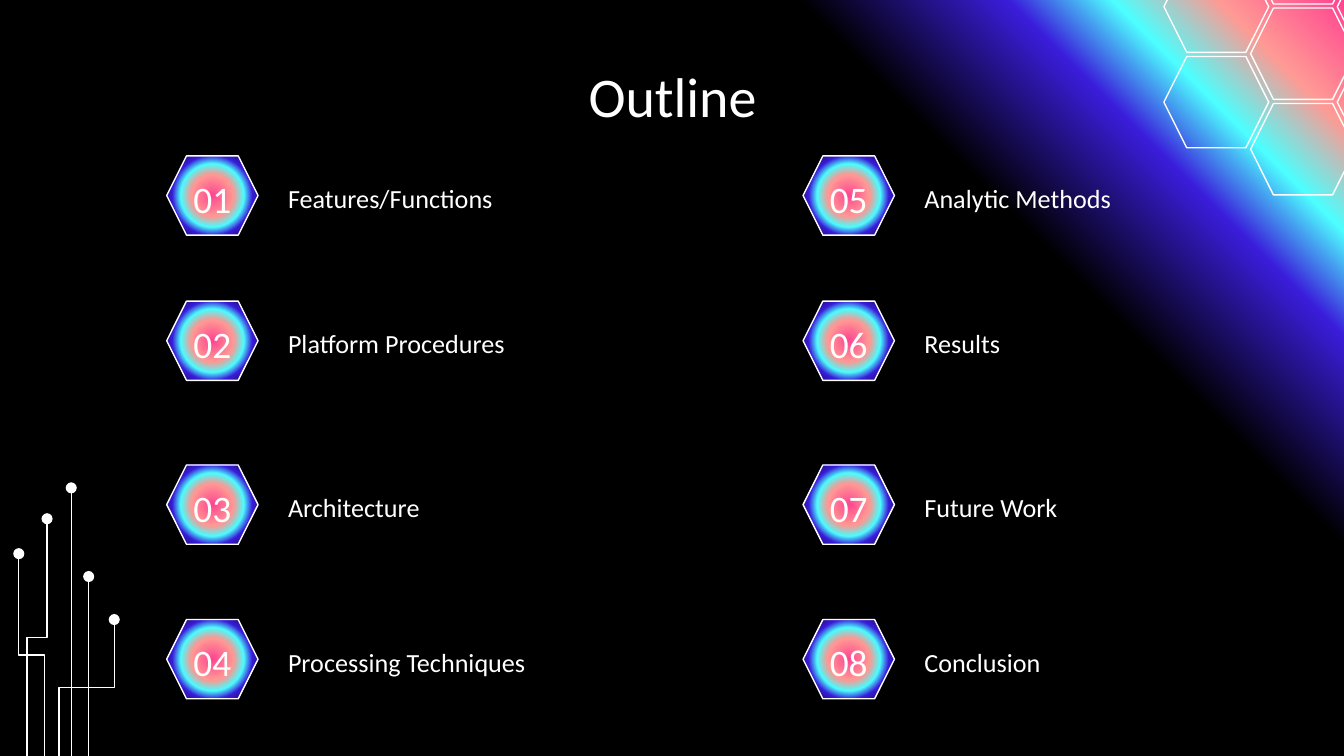
from lxml.etree import SubElement
from pptx import Presentation
from pptx.dml.color import RGBColor
from pptx.enum.shapes import MSO_CONNECTOR as Connector, MSO_SHAPE as Preset
from pptx.enum.text import MSO_ANCHOR as Anchor, PP_ALIGN as Align
from pptx.oxml.ns import qn
from pptx.util import Inches, Pt

COLUMNS, ROWS = 100, 56.25  # grid of tenth-inch cells
WHITE = "FFFFFF"
BACKDROP = [(0, "000000"), (74, "000000"), (84, "3A1DDB"),
            (89, "4DFFFF"), (94, "FF9A94"), (100, "FF4491")]
GLOW = [(0, "FF4491"), (35, "FF9A94"), (52, "4DFFFF"),
        (66, "3A1DDB"), (100, "000000")]

TOPICS = [["Features/Functions", "Platform Procedures",
           "Architecture", "Processing Techniques"],
          ["Analytic Methods", "Results", "Future Work", "Conclusion"]]
TOPIC_COLUMNS = [12.4, 59.75]
TOPIC_ROWS = [11.6, 22.4, 34.6, 46.1]
# Foot column, tip column and tip row of each circuit trace
TRACES = [(3.3, 1.4, 41.2), (2, 3.5, 38.6), (6.6, 6.6, 42.9),
          (5.3, 5.3, 36.3), (4.4, 8.5, 46.1)]
# Honeycomb columns: first row and number of cells
HONEYCOMB = [(-2.9, 2), (-6.5, 3), (-2.9, 2)]


def cells(count):
    """Turn grid cells into a length."""
    return Inches(count / 10)


def color(value):
    """Turn a hex string into a colour."""
    return RGBColor.from_string(value)


def set_gradient(fill, owner, stops, angle=None):
    """Fill with a linear gradient, or a circular one if no angle is given."""
    fill.gradient()
    gradient = next(owner.iter(qn("a:gradFill")))
    for child in list(gradient):
        gradient.remove(child)
    stop_list = SubElement(gradient, qn("a:gsLst"))
    for position, value in stops:
        stop = SubElement(stop_list, qn("a:gs"), pos=str(position * 1000))
        SubElement(stop, qn("a:srgbClr"), val=value)
    if angle is None:
        circle = SubElement(gradient, qn("a:path"), path="circle")
        SubElement(circle, qn("a:fillToRect"),
                   {side: "50000" for side in "ltrb"})
    else:
        SubElement(gradient, qn("a:lin"), ang=str(angle * 60000), scaled="0")


class SlideBuilder:
    """Draws styled elements on the current slide."""

    def __init__(self, slide, font="Calibri", ink=WHITE, line_width=0.75):
        """Keep the slide and its style."""
        self.slide, self.font = slide, font
        self.ink, self.line_width = color(ink), Pt(line_width)

    def backdrop(self, stops, angle):
        """Paint the slide background."""
        set_gradient(self.slide.background.fill, self.slide.element,
                     stops, angle)

    def outline(self, line):
        """Give a line the common colour and width."""
        line.color.rgb = self.ink
        line.width = self.line_width

    def hexagon(self, left, top, width, height, stops=None):
        """Draw an outlined hexagon, glowing if stops are given."""
        shape = self.slide.shapes.add_shape(
            Preset.HEXAGON, *map(cells, (left, top, width, height)))
        shape.adjustments[0] = 0.25
        shape.shadow.inherit = False
        self.outline(shape.line)
        if stops:
            set_gradient(shape.fill, shape.element, stops)
        else:
            shape.fill.background()

    def text(self, words, box, size, align=Align.LEFT, anchor=Anchor.MIDDLE,
             spacing=1.15):
        """Write one paragraph in a box."""
        frame = self.slide.shapes.add_textbox(*map(cells, box)).text_frame
        frame.word_wrap = True
        frame.vertical_anchor = anchor
        frame.margin_left = frame.margin_right = cells(1)
        frame.margin_top = frame.margin_bottom = cells(1)
        paragraph = frame.paragraphs[0]
        paragraph.text = words
        paragraph.alignment, paragraph.line_spacing = align, spacing
        paragraph.font.name, paragraph.font.size = self.font, Pt(size)
        paragraph.font.color.rgb = self.ink

    def trace(self, foot, tip, top):
        """Run a dotted trace up from the slide's bottom edge."""
        shift, length = tip - foot, ROWS - top
        middle_x, middle_y = (foot + tip) / 2, (ROWS + top) / 2
        # Drawn lying on its side, then turned upright
        ends = (middle_x - length / 2, middle_y - shift / 2,
                middle_x + length / 2, middle_y + shift / 2)
        kind = Connector.ELBOW if shift else Connector.STRAIGHT
        connector = self.slide.shapes.add_connector(kind, *map(cells, ends))
        self.outline(connector.line)
        properties = connector.element.spPr
        properties.find(qn("a:xfrm")).set("rot", str(270 * 60000))
        SubElement(properties.find(qn("a:ln")), qn("a:tailEnd"), type="oval")
        SubElement(properties, qn("a:effectLst"))

    def topic(self, number, words, left, top):
        """Place a numbered badge with its label."""
        self.hexagon(left, top, 6.8, 5.9, GLOW)
        self.text(words, (left + 8.05, top + 0.7, 29.6, 4.6), 14,
                  anchor=Anchor.BOTTOM)
        self.text(f"{number:02}", (left, top + 0.75, 6.8, 4.3), 20,
                  Align.CENTER)


def main():
    """Build the outline slide."""
    presentation = Presentation()
    presentation.slide_width = cells(COLUMNS)
    presentation.slide_height = cells(ROWS)
    builder = SlideBuilder(
        presentation.slides.add_slide(presentation.slide_layouts[6]))
    builder.backdrop(BACKDROP, 315)
    for trace in TRACES:
        builder.trace(*trace)
    for column, (first_row, count) in enumerate(HONEYCOMB):
        for step in range(count):
            builder.hexagon(86.6 + 6.45 * column, first_row + 7.1 * step,
                            7.8, 6.8)
    builder.text("Outline", (7.9, 3.6, 84.3, 6.3), 30, Align.CENTER,
                 Anchor.TOP, 1)
    for column, (left, labels) in enumerate(zip(TOPIC_COLUMNS, TOPICS)):
        first = column * len(labels) + 1
        for number, (words, top) in enumerate(zip(labels, TOPIC_ROWS), first):
            builder.topic(number, words, left, top)
    presentation.save("out.pptx")


main()
